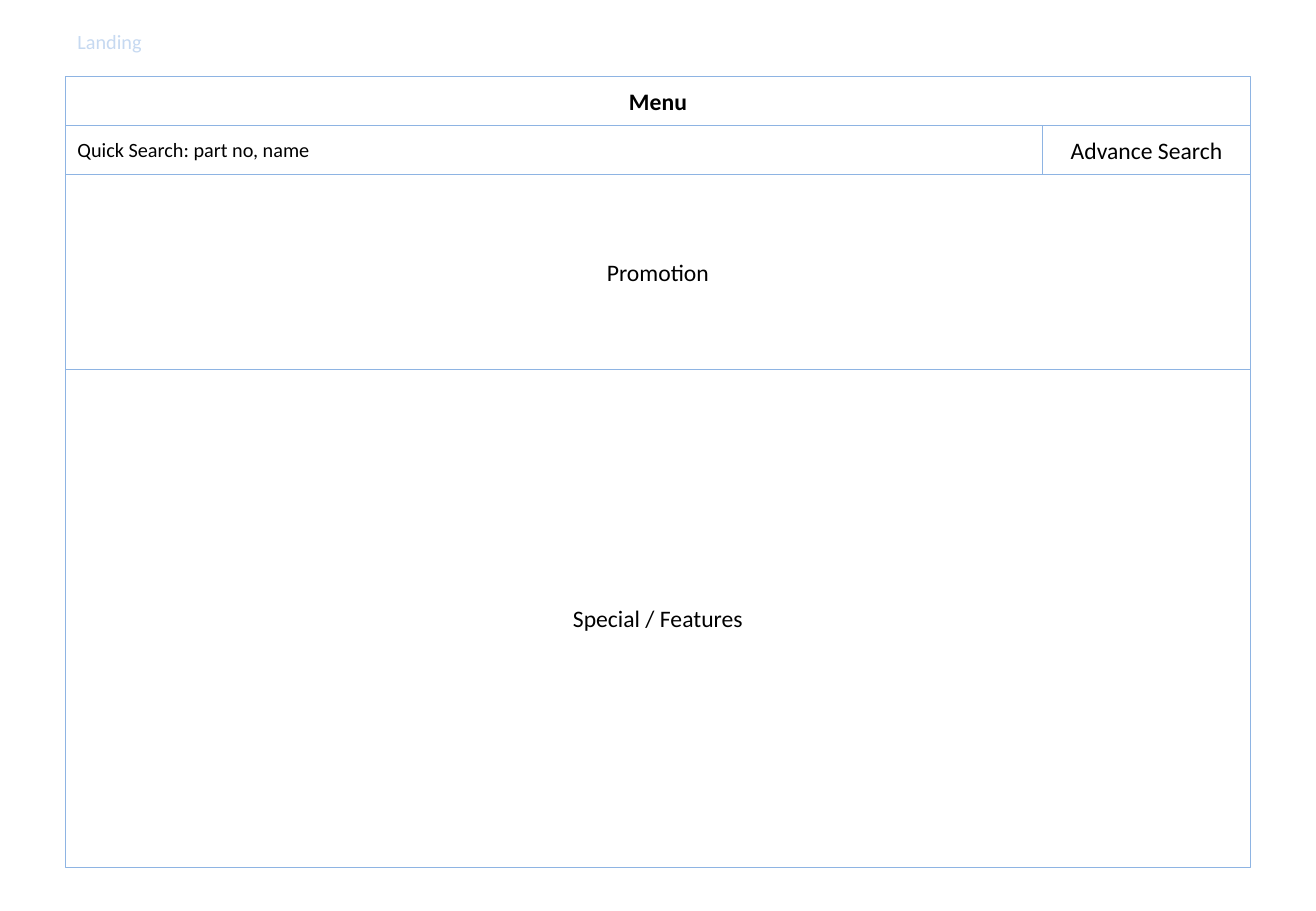
from pptx import Presentation
from pptx import util as u
from pptx.dml.color import RGBColor
from pptx.enum import shapes, text

BLACK = RGBColor(0x00, 0x00, 0x00)
BORDER_BLUE = RGBColor(0x8E, 0xB4, 0xE3)
PALE_BLUE = RGBColor(0xC6, 0xD9, 0xF1)

LEFT, TOP, WIDTH = 1.37, 1.6, 24.77
BAR_HEIGHT, PROMOTION_HEIGHT, FEATURES_HEIGHT = 1.02, 4.09, 10.41
ADVANCE_WIDTH = 4.34
LABEL_TOP, LABEL_HEIGHT = 0.48, 0.76


class Wireframe:
    """Holds the wireframe style and the current slide."""

    font = "Calibri"
    border = u.Pt(0.5)

    def __init__(self, presentation):
        """Add a title-only slide to the presentation."""
        self.slide = presentation.slides.add_slide(presentation.slide_layouts[5])

    def add_wording(self, shape, wording, size=14, color=BLACK, bold=False, centred=True):
        """Put one formatted run in the shape, vertically centred."""
        frame = shape.text_frame
        frame.word_wrap = True
        frame.auto_size = text.MSO_AUTO_SIZE.NONE
        frame.vertical_anchor = text.MSO_ANCHOR.MIDDLE
        paragraph = frame.paragraphs[0]
        paragraph.alignment = text.PP_ALIGN.CENTER if centred else text.PP_ALIGN.LEFT
        run = paragraph.add_run()
        run.text = wording
        run.font.name = self.font
        run.font.size = u.Pt(size)
        run.font.bold = bold
        run.font.color.rgb = color

    def outline(self, shape):
        """Give the shape a thin border and no fill."""
        shape.fill.background()
        shape.line.color.rgb = BORDER_BLUE
        shape.line.width = self.border

    def title(self, wording, left, top, width, height):
        """Turn the title placeholder into a bordered bar."""
        shape = self.slide.shapes.title
        shape.left, shape.top = u.Cm(left), u.Cm(top)
        shape.width, shape.height = u.Cm(width), u.Cm(height)
        self.outline(shape)
        self.add_wording(shape, wording, bold=True)

    def panel(self, wording, left, top, width, height, **style):
        """Add a bordered rectangle with its wording."""
        shape = self.slide.shapes.add_shape(
            shapes.MSO_SHAPE.RECTANGLE, u.Cm(left), u.Cm(top), u.Cm(width), u.Cm(height))
        shape.shadow.inherit = False
        self.outline(shape)
        self.add_wording(shape, wording, **style)

    def label(self, wording, left, top, width, height, **style):
        """Add a plain text box."""
        shape = self.slide.shapes.add_textbox(
            u.Cm(left), u.Cm(top), u.Cm(width), u.Cm(height))
        self.add_wording(shape, wording, **style)


def main():
    """Build the landing page wireframe."""
    presentation = Presentation()
    presentation.slide_width, presentation.slide_height = u.Cm(27.51), u.Cm(19.05)
    page = Wireframe(presentation)

    search_top = TOP + BAR_HEIGHT
    promotion_top = search_top + BAR_HEIGHT
    features_top = promotion_top + PROMOTION_HEIGHT
    search_width = WIDTH - ADVANCE_WIDTH

    page.title("Menu", LEFT, TOP, WIDTH, BAR_HEIGHT)
    page.panel("Quick Search: part no, name", LEFT, search_top, search_width, BAR_HEIGHT,
               size=12, centred=False)
    page.panel("Promotion", LEFT, promotion_top, WIDTH, PROMOTION_HEIGHT)
    page.panel("Advance Search", LEFT + search_width, search_top, ADVANCE_WIDTH, BAR_HEIGHT)
    page.panel("Special / Features", LEFT, features_top, WIDTH, FEATURES_HEIGHT)
    page.label("Landing", LEFT, LABEL_TOP, WIDTH, LABEL_HEIGHT,
               size=12, color=PALE_BLUE, centred=False)
    presentation.save("out.pptx")


main()
